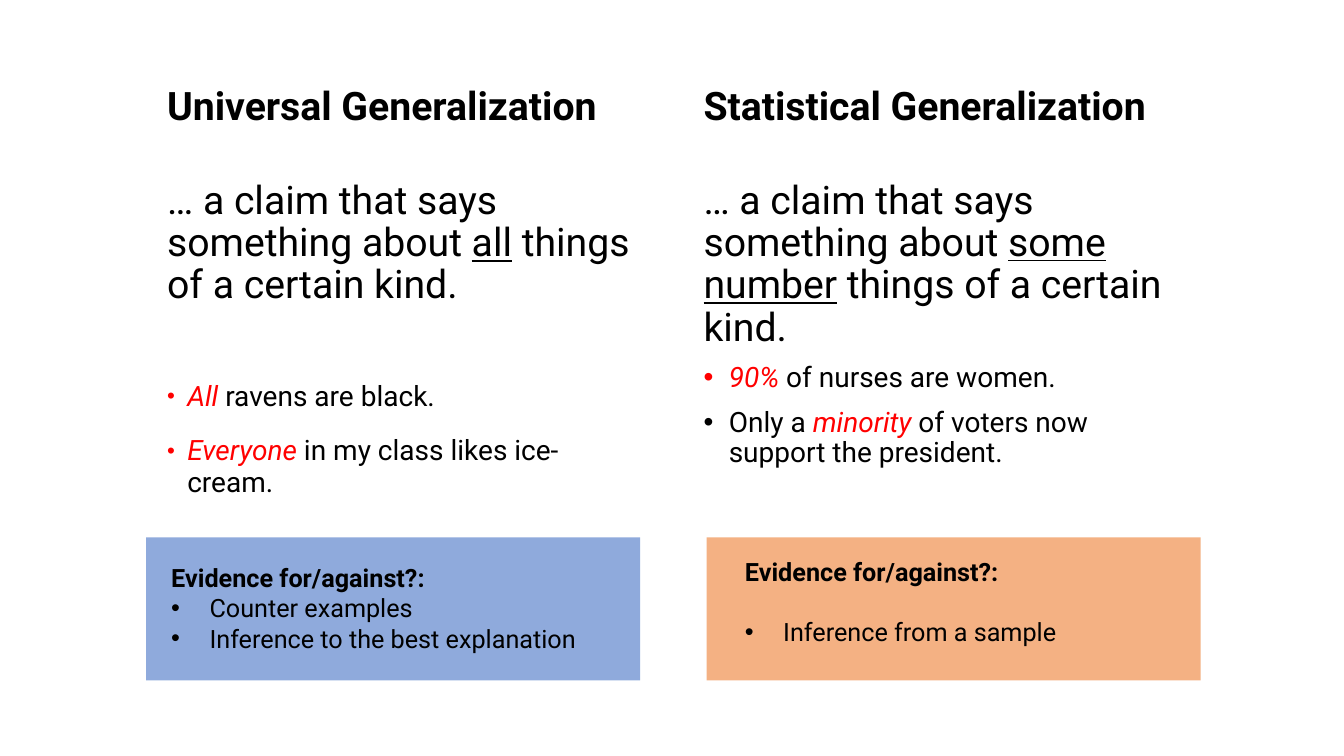
import pptx
import pptx.util
import pptx.dml.color
import pptx.enum.shapes
import pptx.enum.text
import pptx.oxml.ns
import lxml.etree

Inches = pptx.util.Inches
Pt = pptx.util.Pt
ANCHOR = pptx.enum.text.MSO_ANCHOR

COLORS = {"text": "000000", "accent": "FF0000", "blue": "8FAADC", "orange": "F4B183"}
BOLD = {"bold": True}
UNDERLINE = {"underline": True}
EMPHASIS = {"italic": True, "color": "accent"}

CLAIM = {"line_spacing": 0.9, "space_before": Pt(10)}
LEFT_ITEM = {"line_spacing": 0.95, "space_before": Pt(14), "space_after": Pt(2)}
FIRST_LEFT_ITEM = {**LEFT_ITEM, "space_before": Pt(52.5)}
AFTER_GAP = {"space_before": Pt(21.5)}


class SlideBuilder:
    font = "Roboto"

    def __init__(self, prs):
        self.slide = prs.slides.add_slide(prs.slide_layouts[6])

    def color(self, name):
        return pptx.dml.color.RGBColor.from_string(COLORS[name])

    def panel(self, x, y, w, h, fill):
        sp = self.slide.shapes.add_shape(
            pptx.enum.shapes.MSO_SHAPE.RECTANGLE, Inches(x), Inches(y), Inches(w), Inches(h))
        sp.shadow.inherit = False
        sp.fill.solid()
        sp.fill.fore_color.rgb = self.color(fill)
        sp.line.fill.background()

    def text(self, x, y, w, h, paragraphs, anchor=ANCHOR.TOP):
        sp = self.slide.shapes.add_textbox(Inches(x), Inches(y), Inches(w), Inches(h))
        tf = sp.text_frame
        tf.word_wrap = True
        tf.vertical_anchor = anchor
        for i, (size, style, bullet, runs) in enumerate(paragraphs):
            p = tf.add_paragraph() if i else tf.paragraphs[0]
            for name, value in style.items():
                setattr(p, name, value)
            if bullet:
                self.bullet(p, *bullet)
            for words, look in runs:
                self.run(p, words, size, look)

    def run(self, p, words, size, look):
        r = p.add_run()
        r.text = words
        look = {"name": self.font, "size": Pt(size), "color": "text", **look}
        r.font.color.rgb = self.color(look.pop("color"))
        for name, value in look.items():
            setattr(r.font, name, value)

    def bullet(self, p, indent, percent=100):
        pPr = p._p.get_or_add_pPr()
        pPr.set("marL", str(Inches(indent)))
        pPr.set("indent", str(-Inches(indent)))
        for tag, attrs in (
            ("a:buSzPct", {"val": str(percent * 1000)}),
            ("a:buFont", {"typeface": "Arial"}),
            ("a:buChar", {"char": "•"}),
        ):
            lxml.etree.SubElement(pPr, pptx.oxml.ns.qn(tag), attrs)


def claim(subject):
    return (28, CLAIM, None, [
        ("… a claim that says something about ", {}),
        (subject, UNDERLINE),
        (" things of a certain kind.", {}),
    ])


def main():
    prs = pptx.Presentation()
    prs.slide_width, prs.slide_height = Inches(13.33), Inches(7.5)
    s = SlideBuilder(prs)

    width = 4.9
    evidence = (18, {}, None, [("Evidence for/against?:", BOLD)])
    evidence_bullet = (0.38,)
    small_bullet = (0.2, 80)
    claim_bullet = (0.25,)

    s.panel(7.01, 5.33, width, 1.42, "orange")
    s.panel(1.45, 5.33, width, 1.42, "blue")

    columns = [
        (1.56, "Universal Generalization", 4.78, [
            claim("all"),
            (20, FIRST_LEFT_ITEM, small_bullet, [("All", EMPHASIS), (" ravens are black.", {})]),
            (20, LEFT_ITEM, small_bullet,
             [("Everyone", EMPHASIS), (" in my class likes ice-cream.", {})]),
        ]),
        (6.88, "Statistical Generalization", 3.86, [
            claim("some number"),
            (20, CLAIM, claim_bullet, [("90% ", EMPHASIS), ("of nurses are women.", {})]),
            (20, CLAIM, claim_bullet, [
                ("Only a ", {}),
                ("minority", EMPHASIS),
                (" of voters now support the president.", {}),
            ]),
        ]),
    ]
    for x, heading, height, body in columns:
        s.text(x, 0.53, width, 0.8, [(28, CLAIM, None, [(heading, BOLD)])], ANCHOR.BOTTOM)
        s.text(x, 1.74, width, height, body)

    s.text(1.6, 5.53, 4.62, 1.01, [
        evidence,
        (18, {}, evidence_bullet, [("Counter examples", {})]),
        (18, {}, evidence_bullet, [("Inference to the best explanation", {})]),
    ])
    s.text(7.29, 5.47, 4.27, 1.01, [
        evidence,
        (18, AFTER_GAP, evidence_bullet, [("Inference from a sample", {})]),
    ])

    prs.save("out.pptx")


if __name__ == "__main__":
    main()
